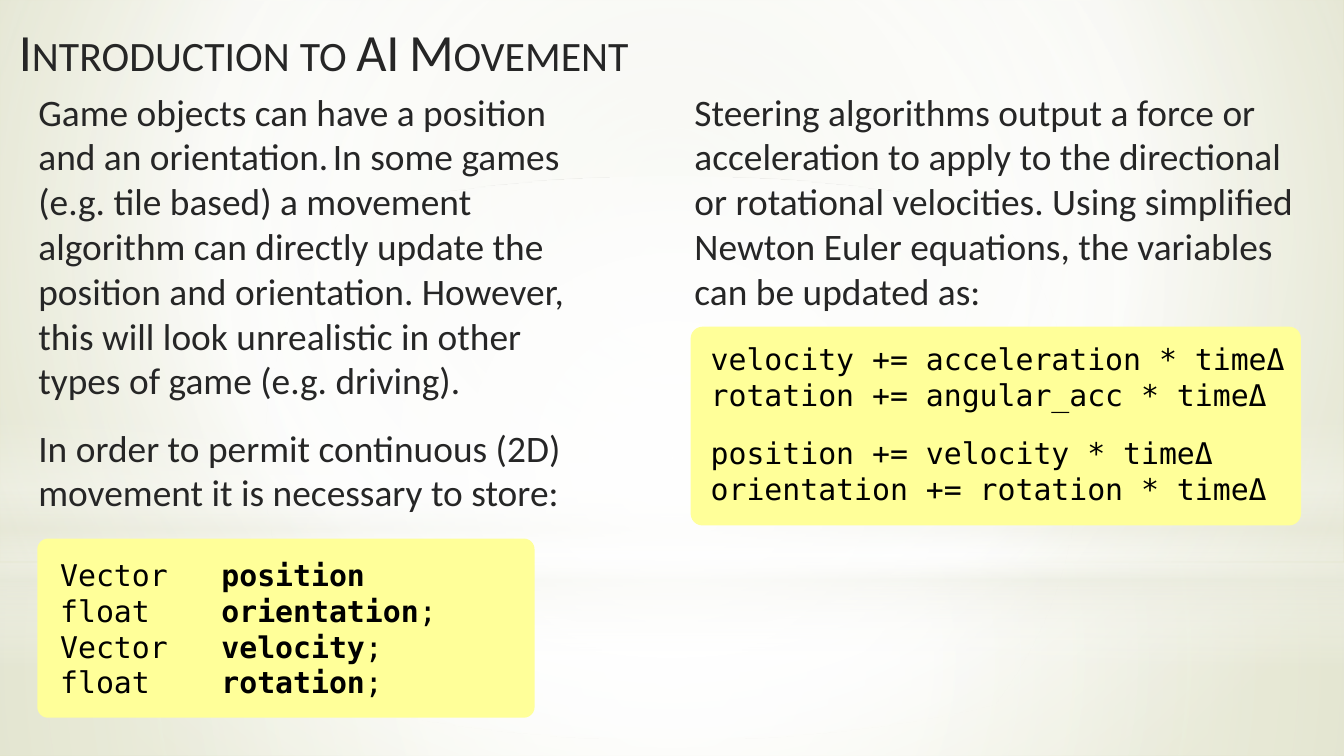
"""Build the slide that introduces AI movement."""
from pptx import Presentation
from pptx.dml.color import RGBColor
from pptx.enum.shapes import MSO_SHAPE
from pptx.enum.text import MSO_ANCHOR
from pptx.oxml import parse_xml
from pptx.oxml.ns import nsdecls, qn
from pptx.util import Pt

HUES = {"ink": "262626", "code": "000000", "box": "FFFF99", "white": "FFFFFF",
        "haze": "EAEBDE", "sage": "E3E5D1", "moss": "CCD09F"}
HEAD = {"size": Pt(28), "name": "Calibri"}
BODY = {"size": Pt(20), "name": "Calibri"}
MONO = {"size": Pt(16), "name": "DejaVu Sans Mono"}
TINY = {"size": Pt(10)}
BOLD = {"bold": True}
GAP = {"space_before": Pt(12)}
MID = (50, 50, 50, 50)


def shade(node, stops, focus=None):
    """Fill a node with a radial gradient, or a downward one without focus."""
    marks = "".join(
        f'<a:gs pos="{pos * 1000}"><a:srgbClr val="{HUES[hue]}">'
        f'<a:alpha val="{alpha * 1000}"/></a:srgbClr></a:gs>'
        for pos, hue, alpha in stops)
    if focus:
        sides = " ".join(f'{side}="{val * 1000}"' for side, val in zip("ltrb", focus))
        way = f'<a:path path="circle"><a:fillToRect {sides}/></a:path>'
    else:
        way = '<a:lin ang="5400000" scaled="0"/>'
    old = node.find(".//" + qn("a:gradFill"))
    new = parse_xml(f'<a:gradFill {nsdecls("a")} rotWithShape="1">'
                    f'<a:gsLst>{marks}</a:gsLst>{way}</a:gradFill>')
    old.getparent().replace(old, new)


def add_form(slide, kind, spot):
    """Add a preset shape without line or shadow."""
    form = slide.shapes.add_shape(kind, *map(Pt, spot))
    form.shadow.inherit = False
    form.line.fill.background()
    return form


def add_glow(slide, kind, spot, stops, focus=None):
    """Add a soft layer of the backdrop."""
    form = add_form(slide, kind, spot)
    form.fill.gradient()
    shade(form.element, stops, focus)


def add_panel(slide, spot):
    """Add a yellow panel with round corners."""
    form = add_form(slide, MSO_SHAPE.ROUNDED_RECTANGLE, spot)
    form.adjustments[0] = 0.06
    form.fill.solid()
    form.fill.fore_color.rgb = RGBColor.from_string(HUES["box"])


def apply(item, style):
    """Set each value of a style on an item."""
    for key, val in style.items():
        setattr(item, key, val)


def add_text(slide, spot, paras, font, hue="ink", anchor=MSO_ANCHOR.TOP):
    """Add wrapped text, given as (style, runs) pairs, and return its frame."""
    frame = slide.shapes.add_textbox(*map(Pt, spot)).text_frame
    apply(frame, {"word_wrap": True, "vertical_anchor": anchor})
    for num, (style, runs) in enumerate(paras):
        para = frame.add_paragraph() if num else frame.paragraphs[0]
        apply(para, style)
        for text, extra in runs:
            run = para.add_run()
            run.text = text
            apply(run.font, {**font, **extra})
            run.font.color.rgb = RGBColor.from_string(HUES[hue])
    return frame


def add_code(slide, spot, paras):
    """Add code lines with a hanging indent and a tab stop."""
    frame = add_text(slide, spot, paras, MONO, "code", MSO_ANCHOR.MIDDLE)
    for para in frame.paragraphs:
        props = para._p.get_or_add_pPr()
        props.set("marL", str(Pt(14.4)))
        props.set("indent", str(Pt(-14.4)))
        props.append(parse_xml(f'<a:tabLst {nsdecls("a")}>'
                               f'<a:tab pos="{Pt(70.6)}" algn="l"/></a:tabLst>'))


def add_scene(slide):
    """Paint the backdrop and its layers of light."""
    slide.background.fill.gradient()
    shade(slide.element, [(0, "sage", 100), (60, "white", 100), (100, "moss", 100)],
          (20, 10, 20, 60))
    rect = MSO_SHAPE.RECTANGLE
    add_glow(slide, rect, (0, 301.5, 720, 103.5),
             [(0, "white", 91), (37, "white", 76), (100, "haze", 79)], MID)
    add_glow(slide, rect, (0, 0, 720, 301.5),
             [(0, "white", 89), (48, "white", 62), (100, "haze", 79)], MID)
    add_glow(slide, rect, (0, 222.5, 720, 135),
             [(0, "white", 0), (29, "white", 30), (45, "haze", 40),
              (55, "white", 26), (65, "haze", 60), (100, "white", 0)])
    add_glow(slide, MSO_SHAPE.OVAL, (0, 94.5, 720, 301.5),
             [(0, "white", 100), (56, "white", 0)], MID)


def main():
    """Build and save the deck."""
    deck = Presentation()
    apply(deck, {"slide_width": Pt(720), "slide_height": Pt(405)})
    slide = deck.slides.add_slide(deck.slide_layouts[6])
    add_scene(slide)

    title = add_text(slide, (3, 4.5, 442, 45),
                     [({}, [("Introduction to AI Movement", {})])],
                     HEAD, anchor=MSO_ANCHOR.MIDDLE)
    title.paragraphs[0].runs[0].font._element.set("cap", "small")

    add_panel(slide, (20, 288.5, 266.4, 96))
    fields = [("Vector", "position", ""), ("float", "orientation", ";"),
              ("Vector", "velocity", ";"), ("float", "rotation", ";")]
    add_code(slide, (25.2, 294, 266.4, 85),
             [({}, [(f"{kind} \t", {}), (name, BOLD), (end, {})])
              for kind, name, end in fields])

    add_panel(slide, (370, 175, 327, 106.5))
    steps = [({}, "velocity += acceleration"), ({}, "rotation += angular_acc"),
             (GAP, "position += velocity"), ({}, "orientation += rotation")]
    add_code(slide, (373.7, 177, 332, 99.5),
             [(style, [(f"{step} * timeΔ", {})]) for style, step in steps])

    add_text(slide, (13.5, 44, 318, 238), [
        ({}, [("Game objects can have a position and an orientation.", {}),
              (" ", TINY),
              ("In some games (e.g. tile based) a movement algorithm can directly "
               "update the position and orientation. However, this will look "
               "unrealistic in other types of game (e.g. driving).", {})]),
        (GAP, [("In order to permit continuous (2D) movement it is necessary "
                "to store:", {})])], BODY)
    add_text(slide, (365, 44, 341, 128), [
        ({}, [("Steering algorithms output a force or acceleration to apply to the "
               "directional or rotational velocities. Using simplified Newton Euler "
               "equations, the variables can be updated as:", {})])], BODY)
    deck.save("out.pptx")


if __name__ == "__main__":
    main()
